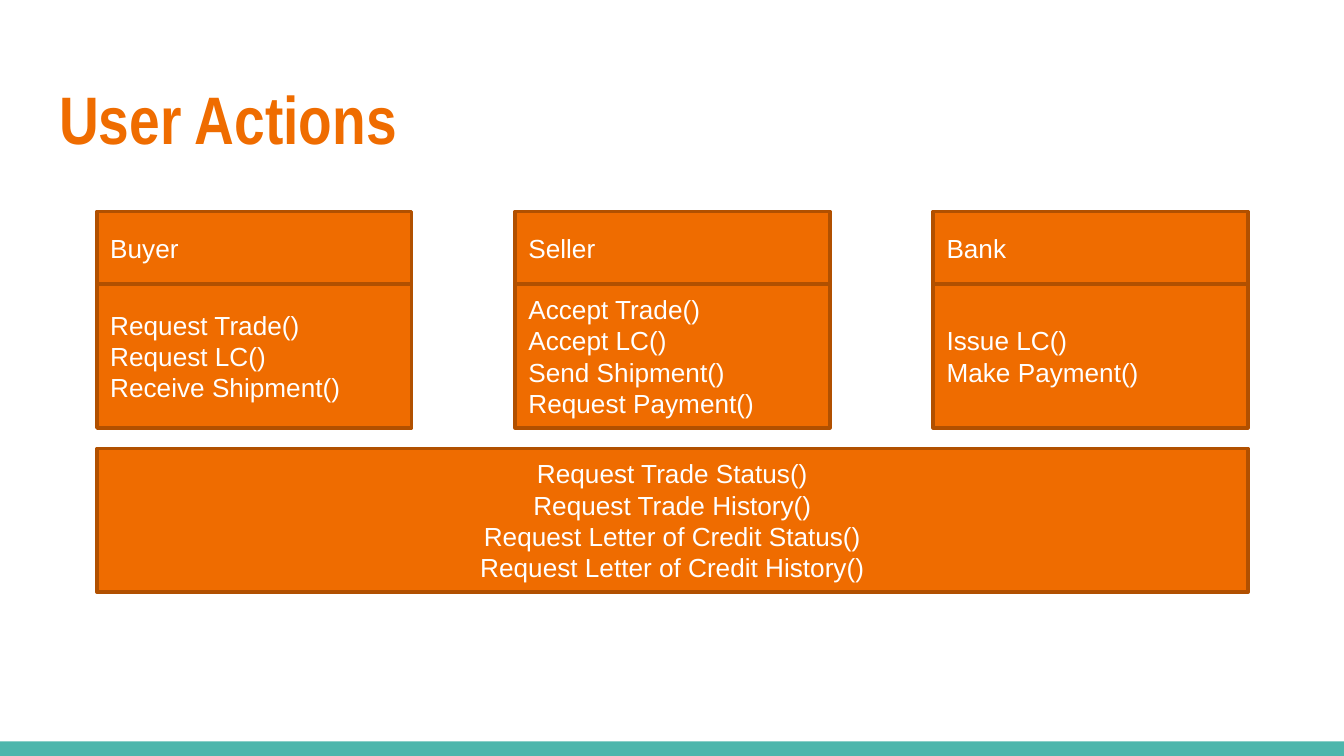
import pptx
import pptx.dml.color
import pptx.enum.shapes
import pptx.enum.text
import pptx.util

Pt = pptx.util.Pt
ALIGN = pptx.enum.text.PP_ALIGN
ANCHOR = pptx.enum.text.MSO_ANCHOR
COLORS = {"accent": "EF6C00", "edge": "B15000", "text": "FFFFFF", "band": "4DB6AC"}
TITLE_FONT = {"name": "Arial Narrow", "size": Pt(36), "bold": True}
BOX_FONT = {"name": "Arial", "size": Pt(14)}
ACTORS = [
    ("Buyer", ["Request Trade()", "Request LC()", "Receive Shipment()"]),
    ("Seller", ["Accept Trade()", "Accept LC()", "Send Shipment()", "Request Payment()"]),
    ("Bank", ["Issue LC()", "Make Payment()"]),
]
SHARED = ["Request Trade Status()", "Request Trade History()",
          "Request Letter of Credit Status()", "Request Letter of Credit History()"]
SLIDE_W, SLIDE_H = 720, 405
LEFT, BOX_W, PITCH = 52, 168.5, 224
HEAD_TOP, HEAD_H = 113.3, 39
BODY_TOP, BODY_H = HEAD_TOP + HEAD_H, 77
SHARED_TOP = 240.3
BAND_H = 7.8


def rgb(key):
    return pptx.dml.color.RGBColor.from_string(COLORS[key])


def set_attrs(obj, values):
    for name, value in values.items():
        setattr(obj, name, value)


def add_lines(tf, lines, font, color, align):
    for i, line in enumerate(lines):
        p = tf.paragraphs[0] if i == 0 else tf.add_paragraph()
        p.alignment = align
        r = p.add_run()
        r.text = line
        set_attrs(r.font, font)
        r.font.color.rgb = rgb(color)


def add_rect(s, x, y, w, h, fill):
    sp = s.shapes.add_shape(pptx.enum.shapes.MSO_SHAPE.RECTANGLE, Pt(x), Pt(y), Pt(w), Pt(h))
    sp.shadow.inherit = False
    sp.fill.solid()
    sp.fill.fore_color.rgb = rgb(fill)
    sp.line.fill.background()
    return sp


def add_box(s, x, y, w, h, lines, align=ALIGN.LEFT):
    sp = add_rect(s, x, y, w, h, "accent")
    sp.line.color.rgb = rgb("edge")
    sp.line.width = Pt(2)
    tf = sp.text_frame
    set_attrs(tf, {"word_wrap": True, "vertical_anchor": ANCHOR.MIDDLE})
    add_lines(tf, lines, BOX_FONT, "text", align)


def add_title(s, text):
    sp = s.shapes.title
    set_attrs(sp, {"left": Pt(24.5), "top": Pt(35.3), "width": Pt(671), "height": Pt(55.4)})
    tf = sp.text_frame
    margins = dict.fromkeys(["margin_left", "margin_top", "margin_right", "margin_bottom"], Pt(7.2))
    set_attrs(tf, {"word_wrap": True, "vertical_anchor": ANCHOR.MIDDLE,
                   "auto_size": pptx.enum.text.MSO_AUTO_SIZE.NONE, **margins})
    add_lines(tf, [text], TITLE_FONT, "accent", ALIGN.LEFT)


def main():
    prs = pptx.Presentation()
    set_attrs(prs, {"slide_width": Pt(SLIDE_W), "slide_height": Pt(SLIDE_H)})
    s = prs.slides.add_slide(prs.slide_layouts[5])
    add_rect(s, 0, SLIDE_H - BAND_H, SLIDE_W, BAND_H, "band")
    add_title(s, "User Actions")
    for i, (actor, actions) in enumerate(ACTORS):
        x = LEFT + i * PITCH
        add_box(s, x, BODY_TOP, BOX_W, BODY_H, actions)
        add_box(s, x, HEAD_TOP, BOX_W, HEAD_H, [actor])
    shared_w = PITCH * (len(ACTORS) - 1) + BOX_W
    add_box(s, LEFT, SHARED_TOP, shared_w, BODY_H, SHARED, ALIGN.CENTER)
    prs.save("out.pptx")


if __name__ == "__main__":
    main()
